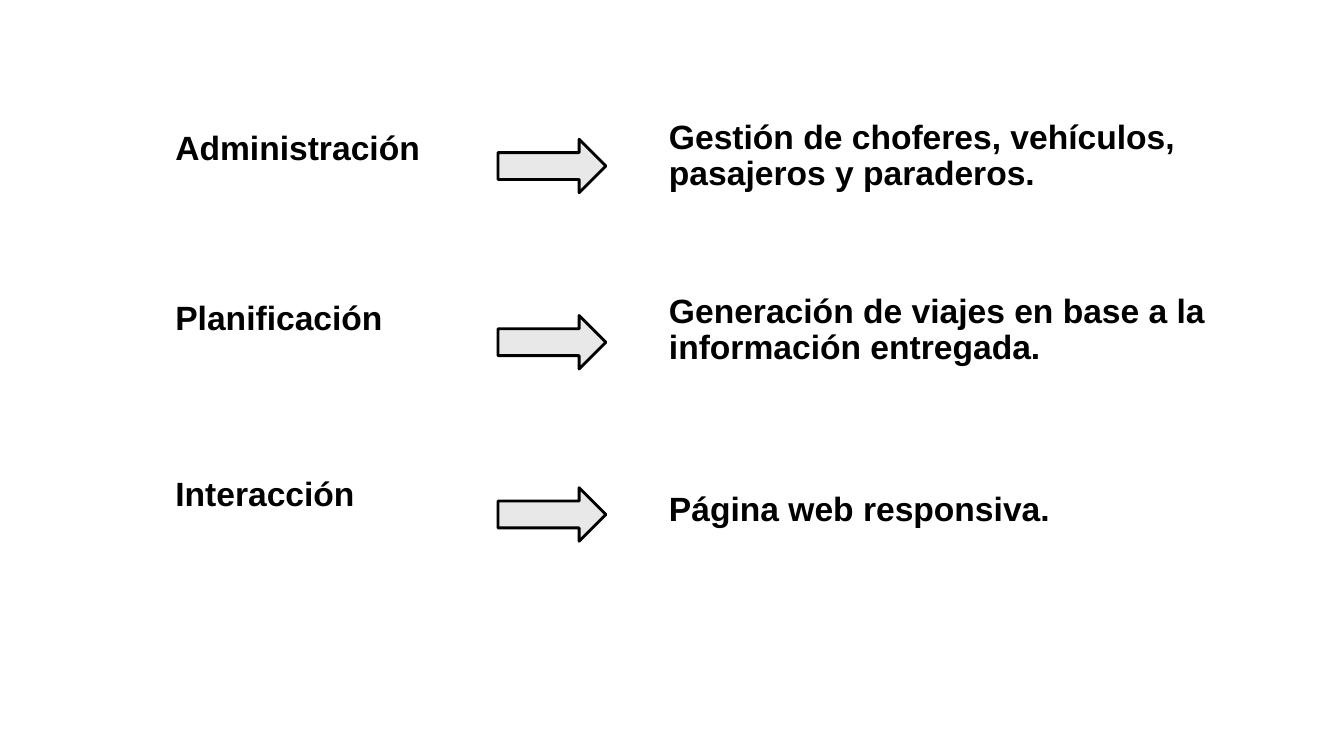
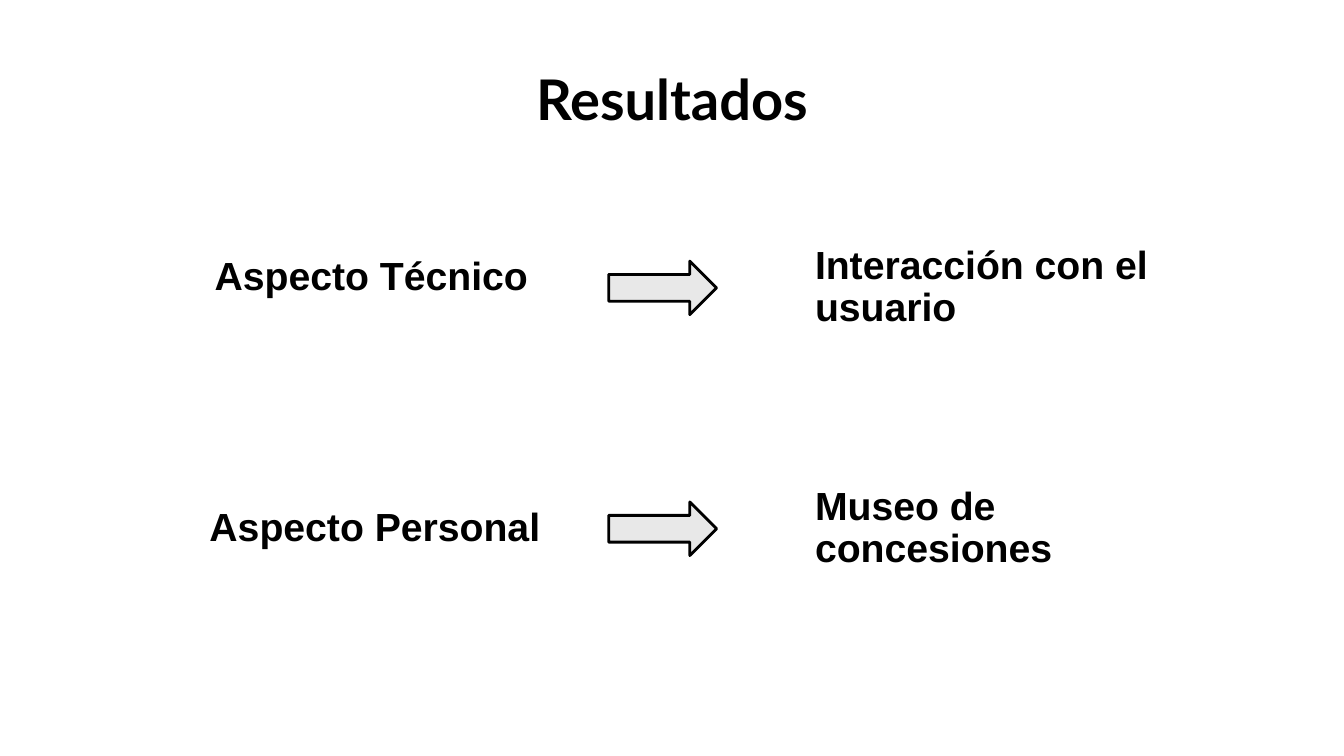
from dataclasses import dataclass

from pptx import Presentation
from pptx.dml.color import RGBColor
from pptx.enum.shapes import MSO_SHAPE
from pptx.enum.text import MSO_ANCHOR, PP_ALIGN
from pptx.util import Cm, Pt

COLORS = {"text": "000000", "arrow": "E8E8E8", "outline": "000000"}
BODY_FONT, TITLE_FONT = "Arial", "Lato"
RIGHT_ARROW = MSO_SHAPE.RIGHT_ARROW
TOP, MIDDLE = MSO_ANCHOR.TOP, MSO_ANCHOR.MIDDLE
LEFT, CENTER = PP_ALIGN.LEFT, PP_ALIGN.CENTER
ARROW_WIDTH, ARROW_HEIGHT = 2.72, 1.35


@dataclass
class Box:
    """A rectangle in centimetres."""
    left: float
    top: float
    width: float
    height: float = ARROW_HEIGHT

    def column(self, left, top, width):
        """Return a full-height column offset from this box."""
        return Box(self.left + left, self.top + top, width, self.height)

    def lengths(self):
        """Return the position and size as slide lengths."""
        return [Cm(side) for side in (self.left, self.top, self.width, self.height)]


@dataclass
class RowStyle:
    """Column offsets, widths and text settings of a row."""
    label_width: float
    arrow_left: float
    detail_left: float
    detail_width: float
    size: int
    anchor: MSO_ANCHOR


@dataclass
class Row:
    """A label that leads to a detail, with their shifts from the arrow."""
    top: float
    label: str
    detail: str
    label_shift: tuple = (0, 0)
    detail_shift: float = 0


MODULE_STYLE = RowStyle(8.69, 8.38, 12.44, 15.24, 24, TOP)
RESULT_STYLE = RowStyle(9.78, 10.31, 15.26, 9.96, 28, MIDDLE)

MODULES = [
    Row(3.51, "Administración", "Gestión de choferes, vehículos, pasajeros y paraderos.",
        (0, -0.31), -0.61),
    Row(7.95, "Planificación", "Generación de viajes en base a la información entregada.",
        (0, -0.48), -0.66),
    Row(12.29, "Interacción", "Página web responsiva.", (0, -0.38)),
]
RESULTS = [
    Row(6.58, "Aspecto Técnico", "Interacción con el usuario", (0.13, -0.25)),
    Row(12.65, "Aspecto Personal", "Museo de concesiones"),
]


def add_text(page, box, text, size, font=BODY_FONT, anchor=TOP, align=LEFT, spacing=0.9):
    """Write one bold paragraph in the box."""
    frame = page.shapes.add_textbox(*box.lengths()).text_frame
    frame.word_wrap = True
    frame.vertical_anchor = anchor
    para = frame.paragraphs[0]
    para.alignment = align
    para.line_spacing = spacing
    span = para.add_run()
    span.text = text
    span.font.name = font
    span.font.size = Pt(size)
    span.font.bold = True
    span.font.color.rgb = RGBColor.from_string(COLORS["text"])


def add_arrow(page, box):
    """Draw an outlined right arrow in the box."""
    arrow = page.shapes.add_shape(RIGHT_ARROW, *box.lengths())
    arrow.shadow.inherit = False
    arrow.fill.solid()
    arrow.fill.fore_color.rgb = RGBColor.from_string(COLORS["arrow"])
    arrow.line.color.rgb = RGBColor.from_string(COLORS["outline"])
    arrow.line.width = Pt(2)


def add_row(page, box, row, style):
    """Place a label, an arrow and a detail across the box."""
    label_box = box.column(*row.label_shift, style.label_width)
    detail_box = box.column(style.detail_left, row.detail_shift, style.detail_width)
    add_text(page, label_box, row.label, style.size, anchor=style.anchor)
    add_arrow(page, box.column(style.arrow_left, 0, ARROW_WIDTH))
    add_text(page, detail_box, row.detail, style.size, anchor=style.anchor)


def add_page(deck, rows, style, left, title=None):
    """Add a slide of rows, with a title if one is given."""
    page = deck.slides.add_slide(deck.slide_layouts[6])
    if title:
        add_text(page, Box(7.37, 1.5, 19.13, 1.96), title, 40, TITLE_FONT,
                 align=CENTER, spacing=1.0)
    for row in rows:
        width = style.detail_left + style.detail_width
        add_row(page, Box(left, row.top, width), row, style)


def main():
    """Build and save the deck."""
    deck = Presentation()
    deck.slide_width, deck.slide_height = Cm(33.87), Cm(19.05)
    add_page(deck, MODULES, MODULE_STYLE, 4.17)
    add_page(deck, RESULTS, RESULT_STYLE, 5.03, "Resultados")
    deck.save("out.pptx")


if __name__ == "__main__":
    main()
